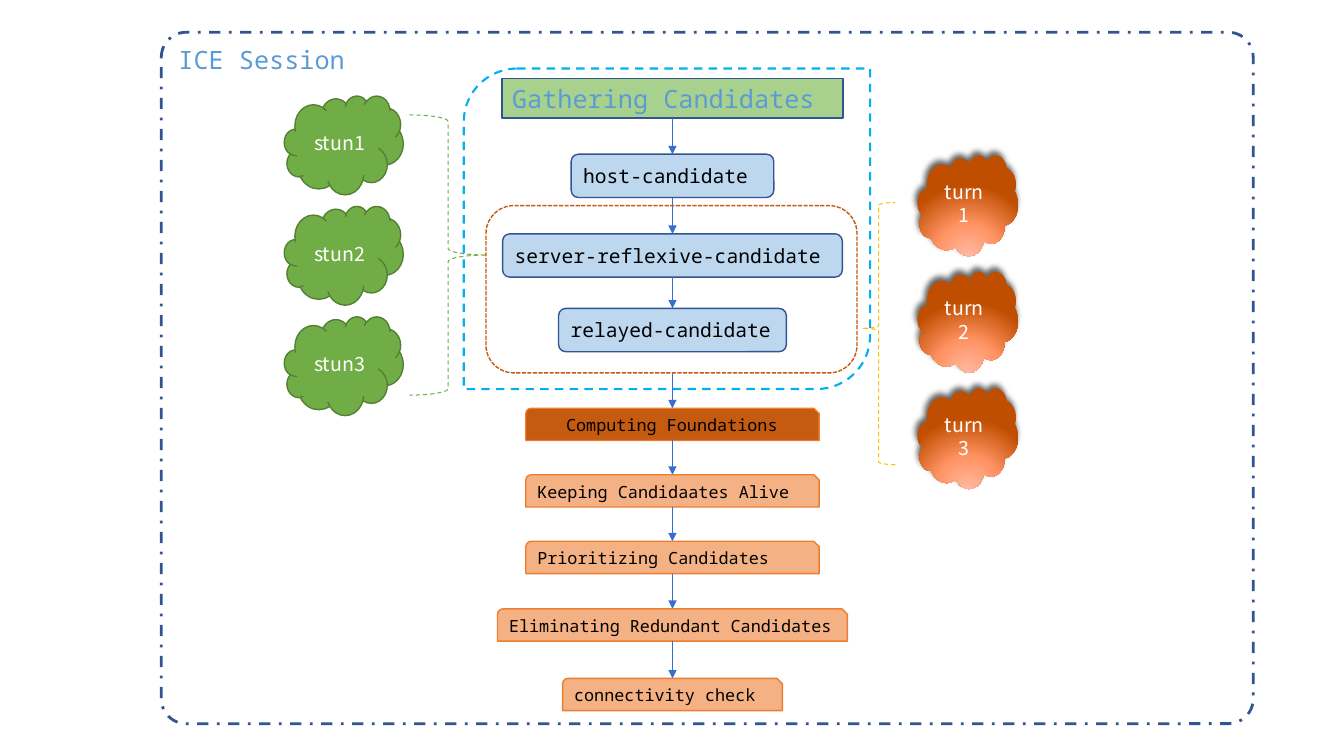
from lxml.etree import SubElement
from pptx import Presentation
from pptx.dml.color import RGBColor
from pptx.enum.dml import MSO_LINE
from pptx.enum.shapes import MSO_CONNECTOR, MSO_SHAPE
from pptx.enum.text import MSO_ANCHOR, PP_ALIGN
from pptx.oxml import parse_xml
from pptx.oxml.ns import nsdecls, qn
from pptx.util import Inches, Pt

COLORS = {
    "navy": "325491", "arrow": "376ED1", "title": "5B9BD5", "head": "A9D18E",
    "blue": "BDD7EE", "green": "70AD47", "moss": "538035", "rust": "C55A11",
    "peach": "F4B183", "orange": "ED7D31", "gold": "FFC000", "cyan": "00B0F0",
    "black": "000000", "white": "FFFFFF",
}
MONO, SANS = "Noto Sans Mono", "Noto Sans CJK SC"
FORMATS = {
    "title": ({"name": MONO, "size": Pt(18)}, "title", PP_ALIGN.LEFT, MSO_ANCHOR.TOP),
    "kind": ({"name": MONO, "size": Pt(14)}, "black", PP_ALIGN.LEFT, MSO_ANCHOR.MIDDLE),
    "first": ({"name": MONO, "size": Pt(12)}, "black", PP_ALIGN.CENTER, MSO_ANCHOR.MIDDLE),
    "step": ({"name": MONO, "size": Pt(12)}, "black", PP_ALIGN.LEFT, MSO_ANCHOR.MIDDLE),
    "cloud": ({"name": SANS, "size": Pt(14)}, "white", PP_ALIGN.CENTER, MSO_ANCHOR.MIDDLE),
}
STYLES = {
    "title": (MSO_SHAPE.RECTANGLE, 0.39, "head", "navy"),
    "kind": (MSO_SHAPE.ROUNDED_RECTANGLE, 0.43, "blue", "navy"),
    "first": (MSO_SHAPE.SNIP_ROUND_RECTANGLE, 0.32, "rust", "orange"),
    "step": (MSO_SHAPE.SNIP_ROUND_RECTANGLE, 0.32, "peach", "orange"),
}
MID = 6.67
GATHER = [
    ("Gathering Candidates", "title", 0.78, 3.38),
    ("host-candidate", "kind", 1.53, 2.01),
    ("server-reflexive-candidate", "kind", 2.32, 3.37),
    ("relayed-candidate", "kind", 3.06, 2.26),
]
STEPS = [
    ("Computing Foundations", "first", 4.05, 2.91),
    ("Keeping Candidaates Alive", "step", 4.71, 2.91),
    ("Prioritizing Candidates", "step", 5.37, 2.91),
    ("Eliminating Redundant Candidates", "step", 6.04, 3.47),
    ("connectivity check", "step", 6.73, 2.18),
]
STUNS = ["stun1", "stun2", "stun3"]
TURNS = ["turn1", "turn2", "turn3"]
FRAMES = [
    (MSO_SHAPE.RIGHT_BRACE, (4.06, 1.14, 0.77, 2.78), "green", 0.75, MSO_LINE.DASH, []),
    (MSO_SHAPE.LEFT_BRACE, (8.55, 2.01, 0.33, 2.6), "gold", 0.75, MSO_LINE.DASH, [0.08, 0.48]),
    (MSO_SHAPE.ROUNDED_RECTANGLE, (4.82, 2.04, 3.68, 1.66), "rust", 1, MSO_LINE.SQUARE_DOT, []),
    (MSO_SHAPE.ROUND_2_DIAG_RECTANGLE, (4.6, 0.68, 4.03, 3.18), "cyan", 1.5, MSO_LINE.DASH, []),
]
SESSION = (MSO_SHAPE.ROUNDED_RECTANGLE, (1.6, 0.32, 10.83, 6.86), "navy", 2, MSO_LINE.DASH_DOT, [0.036])
GLOW = [(0, "FFBAA3"), (46, "FF9363"), (100, "C04E00")]

deck = Presentation()
deck.slide_width, deck.slide_height = Inches(13.33), Inches(7.5)
slide = deck.slides.add_slide(deck.slide_layouts[6])


def tint(name):
    return RGBColor.from_string(COLORS[name])


def draw(kind, area, fill=None, edge=None, width=1):
    shape = slide.shapes.add_shape(kind, *map(Inches, area))
    shape.shadow.inherit = False
    for part, color in ((shape.fill, fill), (shape.line.fill, edge)):
        if color:
            part.solid()
            part.fore_color.rgb = tint(color)
        else:
            part.background()
    if edge:
        shape.line.width = Pt(width)
    return shape


def write(shape, text, style):
    font, color, align, anchor = FORMATS[style]
    frame = shape.text_frame
    frame.word_wrap = True
    frame.vertical_anchor = anchor
    para = frame.paragraphs[0]
    para.alignment = align
    run = para.add_run()
    run.text = text
    for key, value in font.items():
        setattr(run.font, key, value)
    run.font.color.rgb = tint(color)


def outline(kind, area, edge, width, dash, bends):
    shape = draw(kind, area, None, edge, width)
    shape.line.dash_style = dash
    for spot, bend in enumerate(bends):
        shape.adjustments[spot] = bend
    return shape


def arrow(top, end):
    line = slide.shapes.add_connector(
        MSO_CONNECTOR.STRAIGHT, *map(Inches, (MID, top, MID, end)))
    line.line.color.rgb = tint("arrow")
    line.line.width = Pt(0.75)
    SubElement(line.line._get_or_add_ln(), qn("a:tailEnd"), type="triangle")
    SubElement(line._element.spPr, qn("a:effectLst"))


def stack(items, last=None):
    for text, style, top, width in items:
        kind, height, fill, edge = STYLES[style]
        if last:
            arrow(last, top)
        box = draw(kind, (MID - width / 2, top, width, height), fill, edge)
        write(box, text, style)
        last = top + height


def glow(shape):
    stops = "".join(
        f'<a:gs pos="{spot * 1000}"><a:srgbClr val="{color}"/></a:gs>' for spot, color in GLOW)
    props = shape._element.spPr
    props.replace(props.find(qn("a:noFill")), parse_xml(
        f'<a:gradFill {nsdecls("a")} rotWithShape="1"><a:gsLst>{stops}</a:gsLst>'
        '<a:path path="circle"><a:fillToRect l="50000" t="155000" r="50000" b="-55000"/>'
        '</a:path></a:gradFill>'))
    props.find(qn("a:effectLst")).append(parse_xml(
        f'<a:outerShdw {nsdecls("a")} blurRad="{Pt(4.2)}" dist="{Pt(3.2)}" dir="{245 * 60000}">'
        f'<a:srgbClr val="{COLORS["black"]}"><a:alpha val="60000"/></a:srgbClr></a:outerShdw>'))


stack(GATHER)
for row, text in enumerate(STUNS):
    cloud = draw(MSO_SHAPE.CLOUD, (2.82, 0.95 + row * 1.095, 1.18, 0.98), "green", "moss")
    write(cloud, text, "cloud")
for row, text in enumerate(TURNS):
    cloud = draw(MSO_SHAPE.CLOUD, (9.1, 1.54 + row * 1.155, 1, 1))
    glow(cloud)
    write(cloud, text, "cloud")
for frame in FRAMES:
    outline(*frame)
stack(STEPS, 3.7)
write(outline(*SESSION), "ICE Session", "title")

deck.save("out.pptx")
